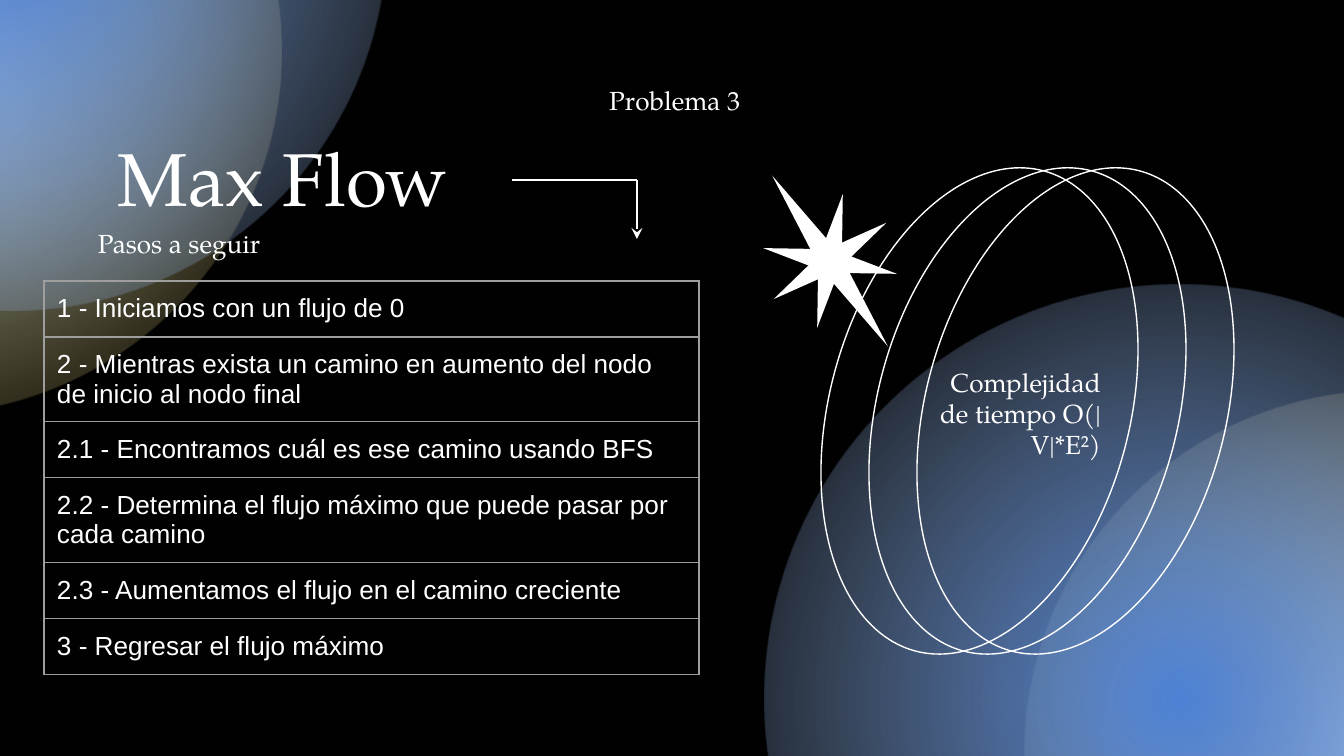
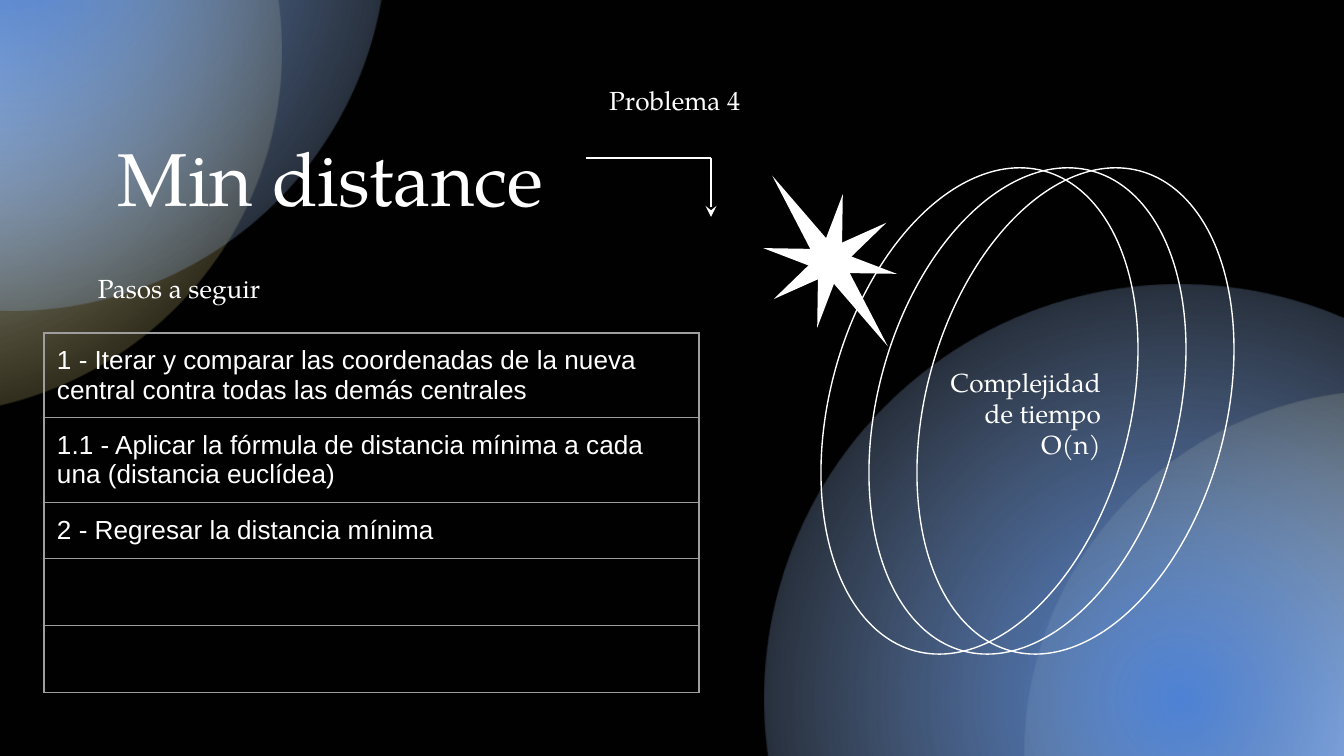
from dataclasses import dataclass
from math import cos, radians, sin

from lxml.etree import SubElement
from pptx import Presentation
from pptx.dml.color import RGBColor
from pptx.enum.shapes import MSO_CONNECTOR, MSO_SHAPE
from pptx.enum.text import MSO_ANCHOR, MSO_AUTO_SIZE, PP_ALIGN
from pptx.oxml import parse_xml
from pptx.oxml.ns import nsdecls, qn
from pptx.util import Emu, Pt

SCALE = 914400 / 134.4


@dataclass(frozen=True)
class Theme:
    """Colours, fonts and sizes of the deck."""
    back: str = "010101"
    ink: str = "FFFFFF"
    rule: str = "9E9E9E"
    gold: tuple = ((0, "ABC8F6", 100), (69, "DBBF57", 0), (100, "DBBF57", 0))
    blue: tuple = ((0, "4E82D5", 100), (72, "ACC4E8", 0), (100, "ACC4E8", 0))
    serif: str = "TeX Gyre Pagella"
    sans: str = "Arial"
    head: int = 40
    body: int = 14
    thin: float = 0.75
    pad: int = 13


THEME = Theme()


def px(num):
    """Turn pixels into EMU."""
    return Emu(round(num * SCALE))


def rgb(code):
    """Turn a hex code into a colour."""
    return RGBColor.from_string(code)


def put(item, vals):
    """Set each value of a dict on an item."""
    for name, val in vals.items():
        setattr(item, name, val)


def pads():
    """Give the four text margins."""
    return {f"margin_{side}": px(THEME.pad) for side in ("left", "top", "right", "bottom")}


def write(frame, text, size, face, align=PP_ALIGN.LEFT, space=1.0):
    """Write one formatted paragraph into a text frame."""
    para = frame.paragraphs[0]
    put(para, {"alignment": align, "line_spacing": space})
    run = para.add_run()
    run.text = text
    put(run.font, {"size": Pt(size), "name": face})
    run.font.color.rgb = rgb(THEME.ink)


def form(shapes, kind, box, turn):
    """Add a turned preset shape without fill, line or shadow."""
    shape = shapes.add_shape(kind, *map(px, box))
    shape.rotation = turn
    shape.shadow.inherit = False
    shape.fill.background()
    shape.line.fill.background()
    return shape


def ink(line):
    """Give a line the thin theme stroke."""
    line.color.rgb = rgb(THEME.ink)
    line.width = Pt(THEME.thin)


def glow(shapes, left, top, size, turn, stops):
    """Add a circle that fades out from its centre."""
    shape = form(shapes, MSO_SHAPE.OVAL, (left, top, size, size), turn)
    marks = "".join(
        f'<a:gs pos="{pos * 1000}"><a:srgbClr val="{code}">'
        f'<a:alpha val="{alpha * 1000}"/></a:srgbClr></a:gs>'
        for pos, code, alpha in stops)
    fade = parse_xml(
        f'<a:gradFill {nsdecls("a")} rotWithShape="1"><a:gsLst>{marks}</a:gsLst>'
        '<a:path path="circle"><a:fillToRect l="50000" t="50000" r="50000" b="50000"/>'
        '</a:path></a:gradFill>')
    props = shape._element.spPr
    props.replace(props.find(qn("a:noFill")), fade)


def star(shapes, mid, top):
    """Add eight spikes around a centre, two of them long."""
    group = shapes.add_group_shape()
    wide = 24
    for step in range(8):
        tall = 103 if step % 4 == 3 else 68
        turn = 10.9 + 45 * step
        left = mid + tall / 2 * sin(radians(turn)) - wide / 2
        high = top - tall / 2 * cos(radians(turn)) - tall / 2
        spike = form(group.shapes, MSO_SHAPE.ISOSCELES_TRIANGLE, (left, high, wide, tall), turn)
        spike.fill.solid()
        spike.fill.fore_color.rgb = rgb(THEME.ink)


def rings(shapes):
    """Add three tilted rings at equal steps."""
    group = shapes.add_group_shape()
    for left in range(731, 828, 48):
        ring = form(group.shapes, MSO_SHAPE.OVAL, (left, 261, 497, 300), 285)
        ink(ring.line)


def dress(deck, layout, slide):
    """Put the shared background and art on the layout."""
    fill = deck.slide_master.background.fill
    fill.solid()
    fill.fore_color.rgb = rgb(THEME.back)
    glow(slide.shapes, -446, -312, 727, 334.6, THEME.gold)
    glow(slide.shapes, -362, -439, 749, 334.6, THEME.blue)
    glow(slide.shapes, 1025, 391, 727, 25.4, THEME.gold)
    glow(slide.shapes, 765, 285, 829, 25.4, THEME.blue)
    star(slide.shapes, 830, 261)
    rings(slide.shapes)
    tree = layout.shapes._spTree
    for shape in list(slide.shapes):
        if not shape.is_placeholder:
            tree.append(shape._element)
    for num, tag in enumerate(tree.iter(qn("p:cNvPr")), 1):
        tag.set("id", str(num))


def title(slide, text):
    """Place and format the title."""
    shape = slide.shapes.title
    put(shape, {"left": px(105), "top": px(136), "width": px(532), "height": px(103)})
    put(shape.text_frame, {**pads(), "word_wrap": True, "auto_size": MSO_AUTO_SIZE.NONE,
                           "vertical_anchor": MSO_ANCHOR.TOP})
    write(shape.text_frame, text, THEME.head, THEME.serif, space=0.8)


def label(slide, text, box, align=PP_ALIGN.LEFT, anchor=MSO_ANCHOR.MIDDLE,
          fit=MSO_AUTO_SIZE.NONE):
    """Add a serif text box."""
    frame = slide.shapes.add_textbox(*map(px, box)).text_frame
    put(frame, {**pads(), "word_wrap": True, "auto_size": fit, "vertical_anchor": anchor})
    write(frame, text, THEME.body, THEME.serif, align)


def stroke(shapes, ends):
    """Add a straight thin connector."""
    line = shapes.add_connector(MSO_CONNECTOR.STRAIGHT, *map(px, ends))
    ink(line.line)
    SubElement(line._element.spPr, qn("a:effectLst"))
    return line


def arrow(slide, left, top):
    """Add an arrow that runs right and then down."""
    shapes = slide.shapes.add_group_shape().shapes
    right = left + 125
    stroke(shapes, (left, top, right, top))
    drop = stroke(shapes, (right, top + 59, right, top))
    SubElement(drop.get_or_add_ln(), qn("a:headEnd"), type="stealth")


def edge(cell):
    """Draw the four borders of a cell."""
    props = cell._tc.get_or_add_tcPr()
    for spot, side in enumerate("LRTB"):
        props.insert(spot, parse_xml(
            f'<a:ln{side} {nsdecls("a")} w="{Pt(THEME.thin)}"><a:solidFill>'
            f'<a:srgbClr val="{THEME.rule}"/></a:solidFill></a:ln{side}>'))


def steps(slide, top, rows):
    """Add the one-column table of steps."""
    tall = 56
    frame = slide.shapes.add_table(len(rows), 1, px(44), px(top), px(655), px(tall * len(rows)))
    table = frame.table
    put(table, {"first_row": False, "horz_banding": False})
    for num, text in enumerate(rows):
        table.rows[num].height = px(tall)
        cell = table.cell(num, 0)
        put(cell, pads())
        cell.fill.background()
        edge(cell)
        if text:
            write(cell.text_frame, text, THEME.body, THEME.sans)


def page(slide, name, topic, bend, sub, top, rows, cost):
    """Fill one problem slide."""
    title(slide, name)
    arrow(slide, *bend)
    label(slide, "Pasos a seguir", (85, sub, 333, 42))
    label(slide, topic, (505, 79, 333, 42), PP_ALIGN.CENTER)
    steps(slide, top, rows)
    label(slide, f"Complejidad de tiempo {cost}", (918, 353, 196, 122), PP_ALIGN.RIGHT,
          MSO_ANCHOR.TOP, MSO_AUTO_SIZE.SHAPE_TO_FIT_TEXT)


def main():
    """Build and save the deck."""
    deck = Presentation()
    put(deck, {"slide_width": px(1344), "slide_height": px(756)})
    layout = deck.slide_layouts[5]
    flow = deck.slides.add_slide(layout)
    dress(deck, layout, flow)
    page(flow, "Max Flow", " Problema 3", (512, 180), 222, 281, [
        "1 - Iniciamos con un flujo de 0",
        "2 - Mientras exista un camino en aumento del nodo de inicio al nodo final",
        "2.1 - Encontramos cuál es ese camino usando BFS",
        "2.2 - Determina el flujo máximo que puede pasar por cada camino",
        "2.3 - Aumentamos el flujo en el camino creciente",
        "3 - Regresar el flujo máximo",
    ], "O(|V|*E²)")
    near = deck.slides.add_slide(layout)
    page(near, "Min distance", " Problema 4", (586, 158), 267, 333, [
        "1 - Iterar y comparar las coordenadas de la nueva central contra todas las demás centrales",
        "1.1 - Aplicar la fórmula de distancia mínima a cada una (distancia euclídea)",
        "2 - Regresar la distancia mínima",
        "",
        "",
    ], "O(n)")
    deck.save("out.pptx")


if __name__ == "__main__":
    main()
